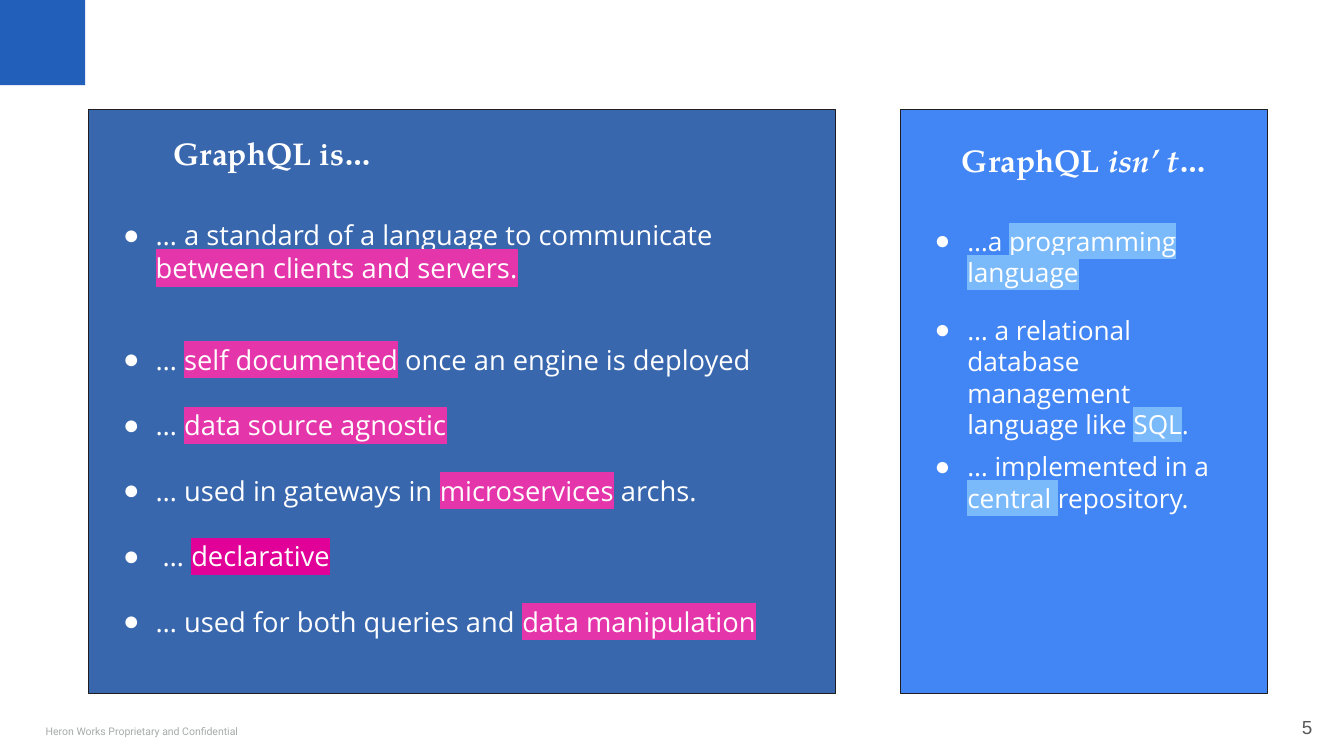
from lxml.etree import SubElement
from pptx import Presentation
from pptx.dml.color import RGBColor
from pptx.enum.shapes import MSO_SHAPE
from pptx.enum.text import MSO_ANCHOR, MSO_AUTO_SIZE, PP_ALIGN
from pptx.oxml.ns import qn
from pptx.util import Pt

WHITE, PINK, MAGENTA, SKY = "FFFFFF", "E535AB", "E10098", "7ABAFA"
BODY_FONT, HEADING_FONT, BULLET_FONT = "Open Sans", "TeX Gyre Pagella", "Arial"
SINGLE, DOUBLE = 1.0, 2.0
PANEL_TOP, PANEL_HEIGHT = 104, 556.5
HEADING_WIDTH, HEADING_HEIGHT, LIST_HEIGHT = 325, 61, 418

# run: (text, highlight or None); item: (line spacing, before, after, runs)
PANELS = [
    {
        "left": 84.5, "width": 711, "fill": "3967AE", "heading_top": 128.5,
        "list_width": 669, "size": 26,
        "heading": [("GraphQL is…", False)],
        "items": [
            (SINGLE, 0, 0, [("… a standard of a language to communicate ", None),
                            ("between clients and servers.", PINK)]),
            (DOUBLE, 25, 0, [("… ", None), ("self documented", PINK),
                             (" once an engine is deployed", None)]),
            (DOUBLE, 0, 0, [("… ", None), ("data source agnostic", PINK)]),
            (DOUBLE, 0, 0, [("… used in gateways in ", None), ("microservices", PINK),
                            (" archs.", None)]),
            (DOUBLE, 0, 0, [(" … ", None), ("declarative", MAGENTA)]),
            (DOUBLE, 0, 0, [("… used for both queries and ", None),
                            ("data manipulation", PINK)]),
        ],
    },
    {
        "left": 857.5, "width": 350, "fill": "4285F4", "heading_top": 134.5,
        "list_width": 312, "size": 25,
        "heading": [("GraphQL ", False), ("isn’ t", True), ("…", False)],
        "items": [
            (SINGLE, 0, 0, [("…a ", None), ("programming language", SKY)]),
            (SINGLE, 25, 0, [("… a relational database management language like ", None),
                             ("SQL", SKY), (".", None)]),
            (SINGLE, 10, 10, [("… implemented in a ", None), ("central ", SKY),
                              ("repository.", None)]),
        ],
    },
]


def color(value):
    """Turn a hex string into a colour."""
    return RGBColor.from_string(value)


def add_rectangle(slide, left, top, width, height, fill, line=None):
    """Add a flat rectangle behind the text."""
    shape = slide.shapes.add_shape(MSO_SHAPE.RECTANGLE, Pt(left), Pt(top), Pt(width), Pt(height))
    shape.shadow.inherit = False
    shape.fill.solid()
    shape.fill.fore_color.rgb = color(fill)
    if line:
        shape.line.color.rgb = color(line)
        shape.line.width = Pt(0.75)
    else:
        shape.line.fill.background()
    return shape


def place_text(shape, left, top, width, height, inset=(7.2, 3.6), anchor=MSO_ANCHOR.TOP):
    """Position a text shape and return its prepared frame."""
    shape.left, shape.top, shape.width, shape.height = Pt(left), Pt(top), Pt(width), Pt(height)
    frame = shape.text_frame
    frame.word_wrap = True
    frame.auto_size = MSO_AUTO_SIZE.NONE
    frame.vertical_anchor = anchor
    frame.margin_left = frame.margin_right = Pt(inset[0])
    frame.margin_top = frame.margin_bottom = Pt(inset[1])
    return frame


def add_text_box(slide, *place, **options):
    """Add a text box and return its frame."""
    return place_text(slide.shapes.add_textbox(0, 0, 0, 0), *place, **options)


def add_run(paragraph, text, font, size, fill, bold=False, italic=False, highlight=None):
    """Add one formatted run."""
    run = paragraph.add_run()
    run.text = text
    run.font.size, run.font.bold, run.font.italic = Pt(size), bold, italic
    run.font.color.rgb = color(fill)
    if highlight:
        properties = run.font._element
        mark = SubElement(properties, qn("a:highlight"))
        SubElement(mark, qn("a:srgbClr"), val=highlight)
    run.font.name = font


def add_bullet(paragraph):
    """Give a paragraph a white hanging bullet."""
    properties = paragraph._p.get_or_add_pPr()
    properties.set("marL", str(Pt(36)))
    properties.set("indent", str(-Pt(31)))
    bullet_color = SubElement(properties, qn("a:buClr"))
    SubElement(bullet_color, qn("a:srgbClr"), val=WHITE)
    SubElement(properties, qn("a:buFont"), typeface=BULLET_FONT)
    SubElement(properties, qn("a:buChar"), char="●")


def fill_heading(frame, runs):
    """Write a panel heading."""
    paragraph = frame.paragraphs[0]
    paragraph.alignment = PP_ALIGN.CENTER
    paragraph.line_spacing = 0.9
    for text, italic in runs:
        add_run(paragraph, text, HEADING_FONT, 30, WHITE, bold=True, italic=italic)


def fill_list(frame, items, size):
    """Write a bulleted list with highlighted phrases."""
    for index, (spacing, before, after, runs) in enumerate(items):
        paragraph = frame.add_paragraph() if index else frame.paragraphs[0]
        paragraph.line_spacing = spacing
        paragraph.space_before, paragraph.space_after = Pt(before), Pt(after)
        add_bullet(paragraph)
        for text, highlight in runs:
            add_run(paragraph, text, BODY_FONT, size, WHITE, highlight=highlight)


def main():
    """Build and save the slide."""
    presentation = Presentation()
    presentation.slide_width, presentation.slide_height = Pt(1280), Pt(720)
    slide = presentation.slides.add_slide(presentation.slide_layouts[3])
    title, *bodies = slide.placeholders

    backgrounds = [add_rectangle(slide, 0, 0, 81, 81, "215FBB")]
    for panel in PANELS:
        backgrounds.append(add_rectangle(slide, panel["left"], PANEL_TOP, panel["width"],
                                         PANEL_HEIGHT, panel["fill"], "1F1D1D"))
    for position, shape in enumerate(backgrounds, start=2):
        slide.shapes._spTree.insert(position, shape._element)

    headings = [title, slide.shapes.add_textbox(0, 0, 0, 0)]
    for panel, heading, body in zip(PANELS, headings, bodies):
        left, top = panel["left"], panel["heading_top"]
        frame = place_text(heading, left + 12.5, top, HEADING_WIDTH, HEADING_HEIGHT)
        fill_heading(frame, panel["heading"])
        frame = place_text(body, left + 20.5, top + 76, panel["list_width"], LIST_HEIGHT)
        fill_list(frame, panel["items"], panel["size"])

    frame = add_text_box(slide, 40, 683.5, 271.5, 19, inset=(3.6, 3.6))
    frame.paragraphs[0].line_spacing = 1.3
    add_run(frame.paragraphs[0], "Heron Works Proprietary and Confidential", "Roboto", 10, "A6AAA9")

    frame = add_text_box(slide, 1186, 664.5, 77, 55.5, inset=(13, 13), anchor=MSO_ANCHOR.MIDDLE)
    frame.paragraphs[0].alignment = PP_ALIGN.RIGHT
    add_run(frame.paragraphs[0], "5", "Arial", 18, "595959")

    presentation.save("out.pptx")


if __name__ == "__main__":
    main()
